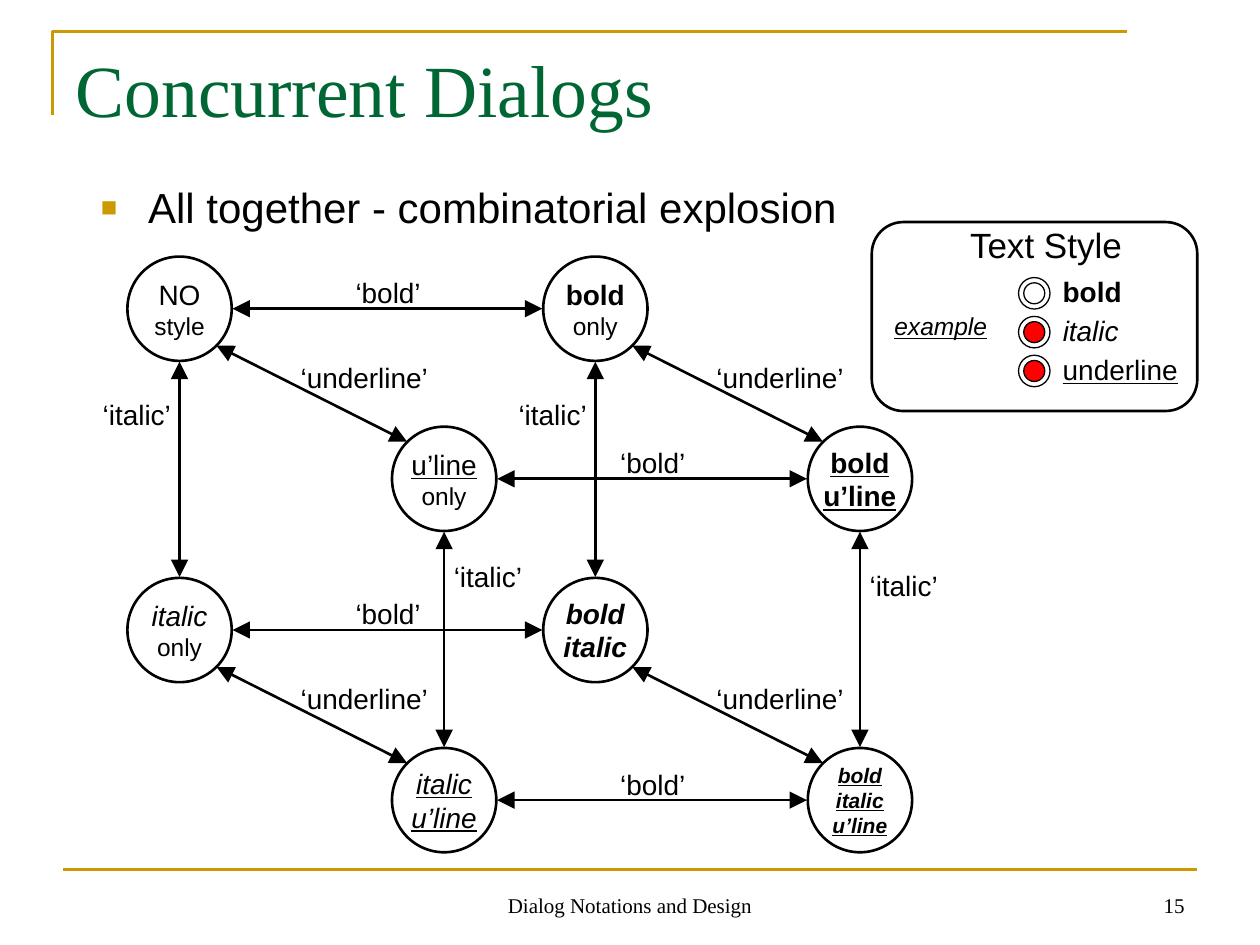
from itertools import product

from lxml import etree
from pptx import Presentation
from pptx.dml.color import RGBColor
from pptx.enum.shapes import MSO_CONNECTOR, MSO_SHAPE
from pptx.enum.text import MSO_ANCHOR, MSO_AUTO_SIZE, PP_ALIGN
from pptx.oxml.ns import qn
from pptx.util import Pt

BLACK, WHITE, RED, GOLD, GREEN = "000000", "FFFFFF", "FF0000", "CC9900", "006633"
SANS, SERIF = "Arial", "Times New Roman"

# The states form a cube: each style switched on moves a state along one axis.
ORIGIN = (72.8, 146.6)
SHIFT = {"bold": (237.6, 0), "italic": (0, 183.6), "underline": (151.2, 97.2)}
D = 59.6
R = D / 2
DIAG = R * 0.71

# Keys are (bold, italic, underline); a line may carry its own format.
PLAIN = {"size": 14, "bold": False, "italic": False, "underline": False}
STATES = {
    (0, 0, 0): [("NO", {}), ("style", PLAIN)],
    (1, 0, 0): [("bold", {}), ("only", PLAIN)],
    (0, 1, 0): [("italic", {}), ("only", PLAIN)],
    (1, 1, 0): [("bold", {}), ("italic", {})],
    (0, 0, 1): [("u’line", {}), ("only", PLAIN)],
    (1, 0, 1): [("bold", {}), ("u’line", {})],
    (0, 1, 1): [("italic", {}), ("u’line", {})],
    (1, 1, 1): [(t, {"size": 12}) for t in ("bold", "italic", "u’line")],
}


def rgb(color):
    return RGBColor.from_string(color)


def write(tf, text, size=16, font=SANS, color=BLACK, bold=False, italic=False,
          underline=False, align=PP_ALIGN.LEFT, new=False):
    """Write one paragraph into the frame: the first one, or a new one."""
    p = tf.add_paragraph() if new else tf.paragraphs[0]
    p.alignment = align
    r = p.add_run()
    r.text = text
    f = r.font
    f.size, f.name, f.color.rgb = Pt(size), font, rgb(color)
    f.bold, f.italic, f.underline = bold, italic, underline
    return p


def place(sp, x, y, w, h):
    sp.left, sp.top, sp.width, sp.height = Pt(x), Pt(y), Pt(w), Pt(h)


def add_label(slide, text, x, y, w, h=26.6, wrap=False, anchor=MSO_ANCHOR.TOP, **fmt):
    tf = slide.shapes.add_textbox(Pt(x), Pt(y), Pt(w), Pt(h)).text_frame
    tf.word_wrap = wrap
    tf.vertical_anchor = anchor
    write(tf, text, **fmt)


def add_outlined(slide, kind, x, y, w, h, fill=WHITE, weight=1.5):
    sp = slide.shapes.add_shape(kind, Pt(x), Pt(y), Pt(w), Pt(h))
    sp.shadow.inherit = False
    sp.fill.solid()
    sp.fill.fore_color.rgb = rgb(fill)
    sp.line.color.rgb = rgb(BLACK)
    sp.line.width = Pt(weight)
    return sp


def add_line(slide, x1, y1, x2, y2, color=BLACK, arrows=True):
    cx = slide.shapes.add_connector(MSO_CONNECTOR.STRAIGHT, Pt(x1), Pt(y1), Pt(x2), Pt(y2))
    cx.line.color.rgb = rgb(color)
    cx.line.width = Pt(1.5)
    if arrows:
        ln = cx.line._get_or_add_ln()
        for end in ("a:headEnd", "a:tailEnd"):
            etree.SubElement(ln, qn(end), type="triangle", w="lg", len="lg")
    etree.SubElement(cx._element.spPr, qn("a:effectLst"))


def add_frame(slide):
    fb = slide.shapes.build_freeform(Pt(30), Pt(66))
    fb.add_line_segments([(Pt(30), Pt(18)), (Pt(644), Pt(18))], close=False)
    sp = fb.convert_to_shape()
    sp.shadow.inherit = False
    sp.fill.background()
    sp.line.color.rgb = rgb(GOLD)
    sp.line.width = Pt(1.5)
    add_line(slide, 36, 497, 684, 497, color=GOLD, arrows=False)
    footer = {"y": 492, "h": 36, "wrap": True, "anchor": MSO_ANCHOR.BOTTOM,
              "size": 12, "font": SERIF}
    add_label(slide, "Dialog Notations and Design", x=246, w=228,
              align=PP_ALIGN.CENTER, **footer)
    add_label(slide, "15", x=516, w=168, align=PP_ALIGN.RIGHT, **footer)


def fill_title(slide, text):
    title = slide.shapes.title
    place(title, 36, 21.6, 648, 90)
    tf = title.text_frame
    tf.auto_size = MSO_AUTO_SIZE.NONE
    tf.vertical_anchor = MSO_ANCHOR.TOP
    write(tf, text, size=42, font=SERIF, color=GREEN)


def fill_body(slide, text):
    body = slide.placeholders[1]
    place(body, 50.4, 77.2, 669.6, 53)
    tf = body.text_frame
    tf.auto_size = MSO_AUTO_SIZE.NONE
    p = write(tf, text, size=24)
    p.line_spacing = 1.8
    p.space_before = Pt(0)
    pPr = p._p.get_or_add_pPr()
    pPr.set("marL", str(Pt(27)))
    pPr.set("indent", str(-Pt(27)))
    color = etree.SubElement(pPr, qn("a:buClr"))
    etree.SubElement(color, qn("a:srgbClr"), val=GOLD)
    etree.SubElement(pPr, qn("a:buSzPct"), val="65000")
    etree.SubElement(pPr, qn("a:buFont"), typeface=SANS)
    etree.SubElement(pPr, qn("a:buChar"), char="■")


def center(state):
    return tuple(ORIGIN[axis] + R + sum(on * shift[axis] for on, shift in zip(state, SHIFT.values()))
                 for axis in (0, 1))


def add_state(slide, state, lines):
    x, y = center(state)
    tf = add_outlined(slide, MSO_SHAPE.OVAL, x - R, y - R, D, D).text_frame
    tf.word_wrap = False
    tf.vertical_anchor = MSO_ANCHOR.MIDDLE
    style = dict(zip(SHIFT, map(bool, state)))
    for i, (text, fmt) in enumerate(lines):
        write(tf, text, align=PP_ALIGN.CENTER, new=i > 0, **{**style, **fmt})


def add_transitions(slide):
    rim = {"bold": (R + 0.5, 0), "italic": (0, R + 0.5), "underline": (DIAG, DIAG)}
    for (axis, style), (a, b) in product(enumerate(SHIFT), product((0, 1), repeat=2)):
        start = [a, b]
        start.insert(axis, 0)
        x, y = center(start)
        (dx, dy), (rx, ry) = SHIFT[style], rim[style]
        add_line(slide, x + rx, y + ry, x + dx - rx, y + dy - ry)

        labels = {"bold": (93.3, -22.4, 51.8),
                  "italic": (-1.6, 47.5, 53.3) if start[2] else (-51, 47.5, 53.3),
                  "underline": (62, 25.9, 87.1)}
        lx, ly, w = labels[style]
        if style == "italic" and tuple(start) == (0, 0, 1):
            ly -= 5
        add_label(slide, f"‘{style}’", x + lx, y + ly, w, align=PP_ALIGN.CENTER)


def add_style_panel(slide):
    add_outlined(slide, MSO_SHAPE.ROUNDED_RECTANGLE, 498.2, 126.9, 186, 108)
    add_label(slide, "Text Style", 547.2, 124, 106, 31.7, size=20)
    options = [("bold", WHITE, 50), ("italic", RED, 48), ("underline", RED, 83)]
    for i, (style, fill, w) in enumerate(options):
        y = 158.6 + 22.2 * i
        add_outlined(slide, MSO_SHAPE.OVAL, 582, y, 18, 18, weight=0.75)
        add_outlined(slide, MSO_SHAPE.OVAL, 585, y + 3, 12, 12, fill=fill, weight=0.75)
        add_label(slide, style, 600.2, y - 5.2, w, **{style: True})
    add_label(slide, "example", 504, 174.2, 72, 24.5, size=14, italic=True, underline=True)


def main():
    prs = Presentation()
    prs.slide_width, prs.slide_height = Pt(720), Pt(540)
    slide = prs.slides.add_slide(prs.slide_layouts[1])
    fill_title(slide, "Concurrent Dialogs")
    fill_body(slide, "All together - combinatorial explosion")
    add_frame(slide)
    for state, lines in STATES.items():
        add_state(slide, state, lines)
    add_transitions(slide)
    add_style_panel(slide)
    prs.save("out.pptx")


if __name__ == "__main__":
    main()
